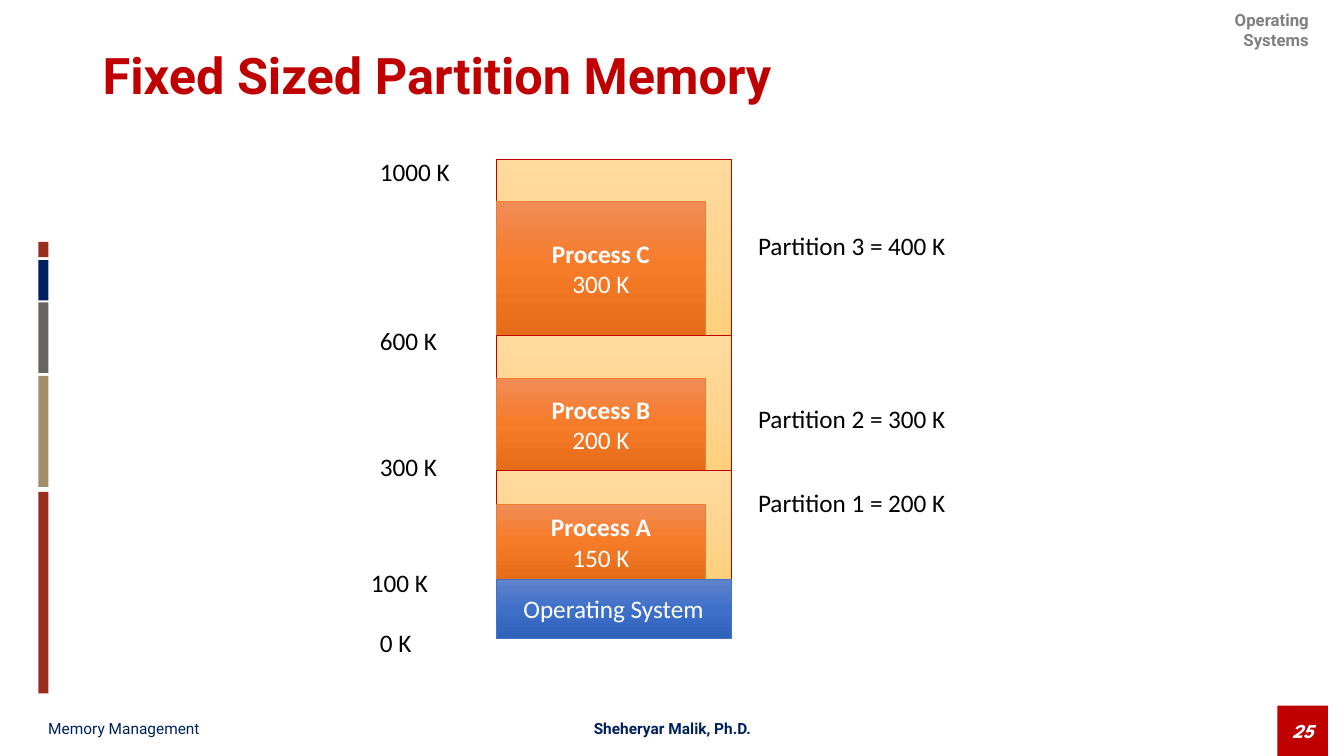
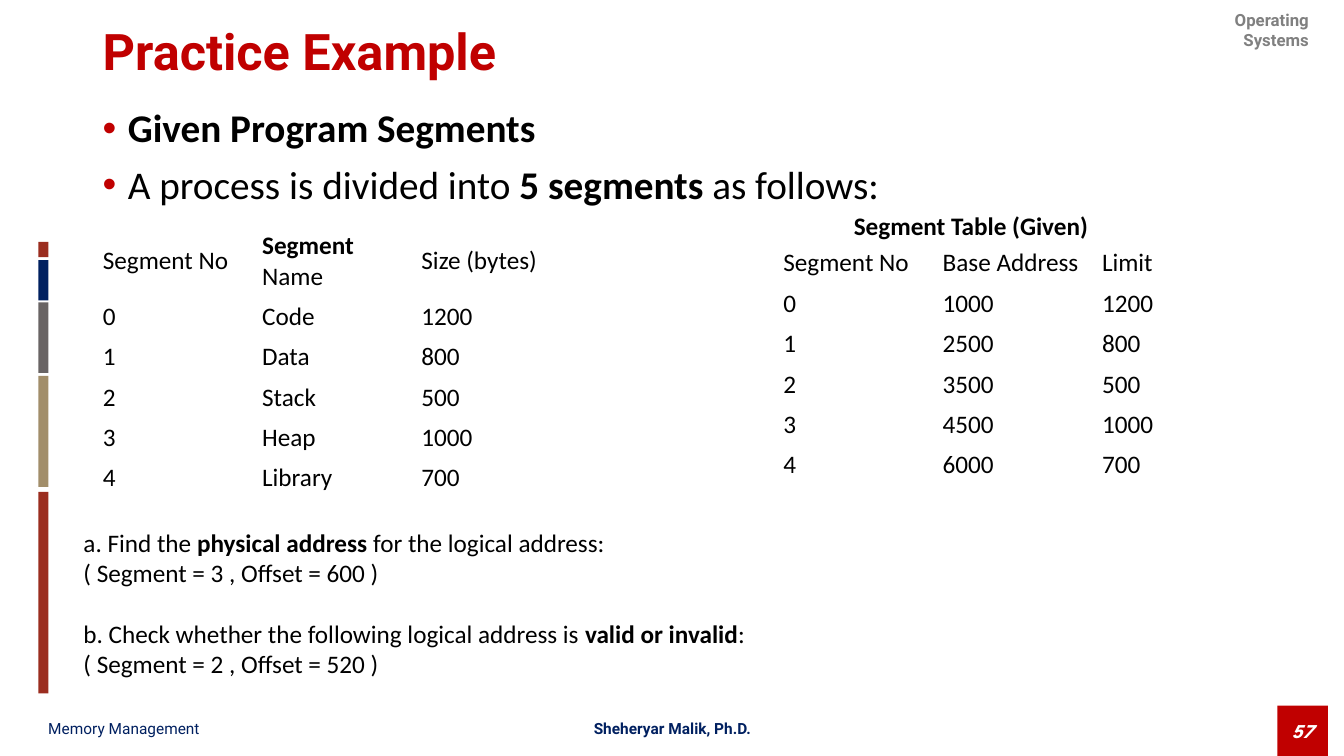
from copy import deepcopy

from pptx import Presentation
from pptx import util as u
from pptx.dml.color import RGBColor
from pptx.enum import shapes, text
from pptx.oxml import parse_xml
from pptx.oxml.ns import nsdecls, qn

RED = RGBColor(0xC0, 0x00, 0x00)
BRICK = RGBColor(0x9B, 0x2D, 0x1F)
NAVY = RGBColor(0x00, 0x20, 0x60)
SLATE = RGBColor(0x69, 0x64, 0x64)
SAND = RGBColor(0xA2, 0x8E, 0x6A)
GRAY = RGBColor(0x80, 0x80, 0x80)
BLACK = RGBColor(0x00, 0x00, 0x00)
WHITE = RGBColor(0xFF, 0xFF, 0xFF)
RUST = RGBColor(0xED, 0x7D, 0x31)
BLUE = RGBColor(0x44, 0x72, 0xC4)
CREAM_FADE = [RGBColor(0xFF, 0xDB, 0x9E), RGBColor(0xFF, 0xD5, 0x90), RGBColor(0xFF, 0xD0, 0x7C)]
RUST_FADE = [RGBColor(0xF1, 0x8C, 0x57), RGBColor(0xF6, 0x7B, 0x28), RGBColor(0xE5, 0x6C, 0x19)]
BLUE_FADE = [RGBColor(0x61, 0x83, 0xCB), RGBColor(0x3E, 0x70, 0xCA), RGBColor(0x30, 0x62, 0xBB)]

HEAD = "Roboto"
BODY = "Calibri"
BADGE = "League Spartan"
LEFT = text.PP_ALIGN.LEFT
CENTER = text.PP_ALIGN.CENTER
RIGHT = text.PP_ALIGN.RIGHT
TOP = text.MSO_ANCHOR.TOP
MIDDLE = text.MSO_ANCHOR.MIDDLE

BARS = [(2.4, 0.15, BRICK), (2.58, 0.4, NAVY), (3, 0.7, SLATE),
        (3.73, 1.1, SAND), (4.88, 2, BRICK)]


class Deck:
    def __init__(self):
        self.file = Presentation()
        self.file.slide_width = u.Inches(13.33)
        self.file.slide_height = u.Inches(7.5)
        self.slide = None

    def page(self, title, number, height):
        self.slide = self.file.slides.add_slide(self.file.slide_layouts[6])
        self.label((11.55, 0.05, 1.53, 0.5), ["Operating Systems"], 12, GRAY, HEAD,
                   bold=True, align=RIGHT)
        badge = self.box((12.67, 7, 0.5, 0.5), [RED])
        self.fill_text(badge.text_frame, [str(number)], 14, WHITE, BADGE,
                       bold=True, italic=True, align=CENTER)
        self.label((0.38, 7.06, 4.4, 0.33), ["Memory Management"], 11, NAVY, HEAD,
                   anchor=MIDDLE)
        self.label((4.47, 7.06, 4.4, 0.33), ["Sheheryar Malik, Ph.D."], 11, NAVY, HEAD,
                   bold=True, align=CENTER, anchor=MIDDLE)
        for top, tall, color in BARS:
            self.box((0.38, top, 0.1, tall), [color])
        self.label((0.92, 0.05, 11.5, height), [title], 36, RED, HEAD,
                   bold=True, anchor=MIDDLE, line=0.9)

    def fill_text(self, frame, lines, size=18, color=BLACK, face=BODY, bold=False,
                  italic=False, align=LEFT, line=None, gaps=(), bullet=False):
        for i, words in enumerate(lines):
            para = frame.paragraphs[0] if i == 0 else frame.add_paragraph()
            para.alignment = align
            if line:
                para.line_spacing = line
            if i < len(gaps):
                para.space_before = u.Pt(gaps[i])
            if bullet:
                self.bullet(para)
            font = para.font
            font.name, font.size, font.color.rgb = face, u.Pt(size), color
            parts = words.split("*")
            whole = len([part for part in parts if part]) == 1
            font.bold = bold or (whole and len(parts) > 1)
            font.italic = italic
            for j, part in enumerate(parts):
                if part:
                    run = para.add_run()
                    run.text = part
                    if not whole:
                        run.font.bold = j % 2 == 1

    def bullet(self, para):
        props = para._p.get_or_add_pPr()
        props.set("marL", str(u.Inches(0.25)))
        props.set("indent", str(-u.Inches(0.25)))
        props.append(parse_xml(
            f'<a:buClr {nsdecls("a")}><a:srgbClr val="{RED}"/></a:buClr>'))
        props.append(parse_xml(f'<a:buFont {nsdecls("a")} typeface="Arial"/>'))
        props.append(parse_xml(f'<a:buChar {nsdecls("a")} char="•"/>'))

    def label(self, area, lines, *style, anchor=TOP, **more):
        frame = self.slide.shapes.add_textbox(*map(u.Inches, area)).text_frame
        frame.word_wrap = True
        frame.vertical_anchor = anchor
        self.fill_text(frame, lines, *style, **more)

    def box(self, area, fade, edge=None, lines=()):
        shape = self.slide.shapes.add_shape(
            shapes.MSO_SHAPE.RECTANGLE, *map(u.Inches, area))
        shape.shadow.inherit = False
        fill = shape.fill
        if len(fade) == 1:
            fill.solid()
            fill.fore_color.rgb = fade[0]
        else:
            fill.gradient()
            fill.gradient_angle = 270
            stops = shape._element.spPr.find(".//" + qn("a:gsLst"))
            stops.insert(1, deepcopy(stops[0]))
            for i, stop in enumerate(fill.gradient_stops):
                stop.position = i / 2
                stop.color.rgb = fade[i]
        if edge is None:
            shape.line.fill.background()
        else:
            shape.line.color.rgb = edge
            shape.line.width = u.Pt(0.5)
        frame = shape.text_frame
        frame.word_wrap = False
        frame.vertical_anchor = MIDDLE
        if lines:
            self.fill_text(frame, lines, color=WHITE, align=CENTER)
        return shape

    def table(self, left, top, wide, tall, rows):
        count = len(rows[0])
        grid = self.slide.shapes.add_table(
            len(rows), count, u.Inches(left), u.Inches(top),
            u.Inches(wide * count), u.Inches(tall * len(rows))).table
        grid.first_row = grid.horz_banding = False
        for r, row in enumerate(rows):
            for c, words in enumerate(row):
                cell = grid.cell(r, c)
                cell.fill.background()
                cell.vertical_anchor = MIDDLE
                self.fill_text(cell.text_frame, [words])


def memory(deck):
    deck.page("Fixed Sized Partition Memory", 25, 1.45)
    left, wide, inner, base = 4.92, 2.33, 2.08, 5.75
    parts = [
        (1.58, 2, "Process C", "300 K", "Partition 3 = 400 K", 2.24),
        (3.33, 3.75, "Process B", "200 K", "Partition 2 = 300 K", 3.95),
        (4.67, 5, "Process A", "150 K", "Partition 1 = 200 K", 4.79),
    ]
    ends = [part[0] for part in parts[1:]] + [base]
    for (top, start, name, size, note, level), end in zip(parts, ends):
        deck.box((left, top, wide, end - top), CREAM_FADE, RED)
        deck.box((left, start, inner, end - start), RUST_FADE, RUST, [f"*{name}*", size])
        deck.label((7.42, level, 3.17, 0.4), [note])
    deck.box((left, base, wide, 0.58), BLUE_FADE, BLUE, ["Operating System"])
    marks = [(3.67, 1.5, "1000 K"), (3.67, 3.18, "600 K"), (3.67, 4.43, "300 K"),
             (3.58, 5.58, "100 K"), (3.67, 6.17, "0 K")]
    for x, y, mark in marks:
        deck.label((x, y, 1.25, 0.4), [mark])


def practice(deck):
    deck.page("Practice Example", 57, 0.98)
    deck.label((0.92, 1.03, 11.98, 1.15),
               ["*Given Program Segments*",
                "A process is divided into *5 segments* as follows:"],
               28, line=0.9, gaps=(0, 10), bullet=True)
    names = ["Code", "Data", "Stack", "Heap", "Library"]
    sizes = ["1200", "800", "500", "1000", "700"]
    bases = ["1000", "2500", "3500", "4500", "6000"]
    order = [str(i) for i in range(len(names))]
    deck.table(0.92, 2.24, 1.58, 0.4,
               [("Segment No", "*Segment* Name", "Size (bytes)"),
                *zip(order, names, sizes)])
    deck.label((8.37, 2.04, 3, 0.4), ["*Segment Table (Given)*"])
    deck.table(7.67, 2.41, 1.58, 0.4,
               [("Segment No", "Base Address", "Limit"), *zip(order, bases, sizes)])
    deck.label((0.73, 5.18, 8, 1.65),
               ["a. Find the *physical address* for the logical address:",
                "( Segment = 3 , Offset = 600 )",
                "b. Check whether the following logical address is *valid or invalid*:",
                "( Segment = 2 , Offset = 520 )"],
               gaps=(0, 0, 22, 0))


def main():
    deck = Deck()
    memory(deck)
    practice(deck)
    deck.file.save("out.pptx")


if __name__ == "__main__":
    main()
